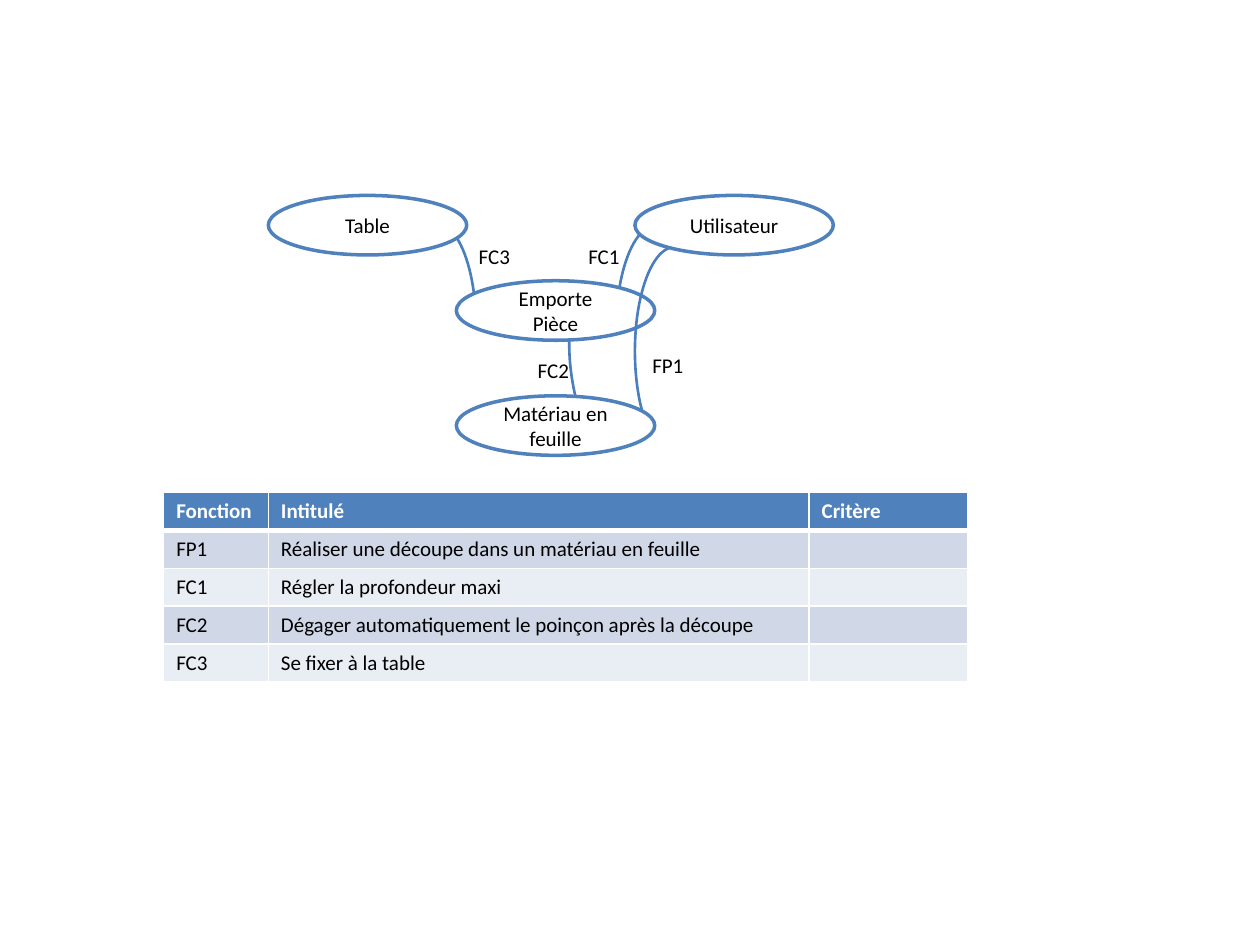
from lxml.etree import SubElement
from pptx import Presentation
from pptx.dml.color import RGBColor
from pptx.enum.shapes import MSO_SHAPE
from pptx.enum.text import MSO_ANCHOR, MSO_AUTO_SIZE, PP_ALIGN
from pptx.oxml.ns import qn
from pptx.util import Cm, Pt

COLORS = {
    "white": "FFFFFF", "black": "000000", "accent": "4F81BD", "link": "4B7EBC",
    "band_dark": "D0D8E8", "band_light": "E9EDF4",
}
FONT = {"name": "Calibri", "size": Pt(12), "bold": False}
BUBBLE_FRAME = {"word_wrap": True, "vertical_anchor": MSO_ANCHOR.MIDDLE}
LABEL_FRAME = {"word_wrap": True, "auto_size": MSO_AUTO_SIZE.SHAPE_TO_FIT_TEXT}


def write(frame, text, color="black", **changes):
    para = frame.paragraphs[0]
    span = para.add_run()
    span.text = text
    for name, value in {**FONT, **changes}.items():
        setattr(span.font, name, value)
    span.font.color.rgb = RGBColor.from_string(COLORS[color])
    return para


def outline(shape, color, width):
    shape.shadow.inherit = False
    shape.line.color.rgb = RGBColor.from_string(COLORS[color])
    shape.line.width = Pt(width)


deck = Presentation()
deck.slide_width, deck.slide_height = Cm(25.4), Cm(19.05)
page = deck.slides.add_slide(deck.slide_layouts[6])

# Diagram, back to front: arcs (left, top, start, end, rotation)
# and bubbles (left, top, text)
diagram = [
    ("arc", 11.61, 5.84, 162, 0.64, 345.6),
    ("arc", 8.0, 4.5, 117.08, 162.9, 0),
    ("arc", 12.42, 4.55, 162, 0.64, 0),
    ("bubble", 9.2, 5.66, "Emporte Pièce"),
    ("bubble", 5.41, 3.94, "Table"),
    ("arc", 12.8, 4.98, 162, 43.05, 0),
    ("bubble", 12.8, 3.94, "Utilisateur"),
    ("bubble", 9.2, 7.98, "Matériau en feuille"),
]
for kind, left, top, *details in diagram:
    if kind == "arc":
        start, end, rotation = details
        arc = page.shapes.add_shape(MSO_SHAPE.ARC, Cm(left), Cm(top), Cm(1.6), Cm(4.2))
        arc.adjustments[0], arc.adjustments[1] = start, end
        arc.rotation = rotation
        arc.element.spPr.find(qn("a:xfrm")).set("flipH", "1")
        arc.fill.background()
        outline(arc, "link", 1.5)
    else:
        bubble = page.shapes.add_shape(MSO_SHAPE.OVAL, Cm(left), Cm(top), Cm(4), Cm(1.2))
        bubble.fill.solid()
        bubble.fill.fore_color.rgb = RGBColor.from_string(COLORS["white"])
        outline(bubble, "accent", 2)
        for name, value in BUBBLE_FRAME.items():
            setattr(bubble.text_frame, name, value)
        write(bubble.text_frame, details[0]).alignment = PP_ALIGN.CENTER

# Function labels
labels = [("FP1", 12.9, 6.99), ("FC1", 11.61, 4.78), ("FC2", 10.59, 7.09), ("FC3", 9.4, 4.78)]
for text, left, top in labels:
    box = page.shapes.add_textbox(Cm(left), Cm(top), Cm(2.2), Cm(0.77))
    for name, value in LABEL_FRAME.items():
        setattr(box.text_frame, name, value)
    write(box.text_frame, text)

# Function table
rows = [
    ("Fonction", "Intitulé", "Critère"),
    ("FP1", "Réaliser une découpe dans un matériau en feuille", ""),
    ("FC1", "Régler la profondeur maxi", ""),
    ("FC2", "Dégager automatiquement le poinçon après la découpe", ""),
    ("FC3", "Se fixer à la table", ""),
]
widths = [2.11, 10.9, 3.2]
row_height = 0.76
table = page.shapes.add_table(
    len(rows), len(widths), Cm(3.3), Cm(9.93), Cm(sum(widths)), Cm(row_height * len(rows))
).table
for column, width in zip(table.columns, widths):
    column.width = Cm(width)

for r, texts in enumerate(rows):
    header = r == 0
    fill = "accent" if header else ("band_light", "band_dark")[r % 2]
    for c, text in enumerate(texts):
        cell = table.cell(r, c)
        if text:
            write(cell.text_frame, text, "white" if header else "black", bold=header)
        else:
            # An empty cell keeps the row low through its end mark
            SubElement(cell.text_frame.paragraphs[0]._p, qn("a:endParaRPr"), sz="1200")

        # White borders, thicker between the header and the body
        properties = cell._tc.get_or_add_tcPr()
        for side in ("lnL", "lnR", "lnT", "lnB"):
            thick = (header and side == "lnB") or (r == 1 and side == "lnT")
            border = SubElement(properties, qn(f"a:{side}"), w=str(Pt(3 if thick else 1)))
            paint = SubElement(border, qn("a:solidFill"))
            SubElement(paint, qn("a:srgbClr"), val=COLORS["white"])
        cell.fill.solid()
        cell.fill.fore_color.rgb = RGBColor.from_string(COLORS[fill])

deck.save("out.pptx")
